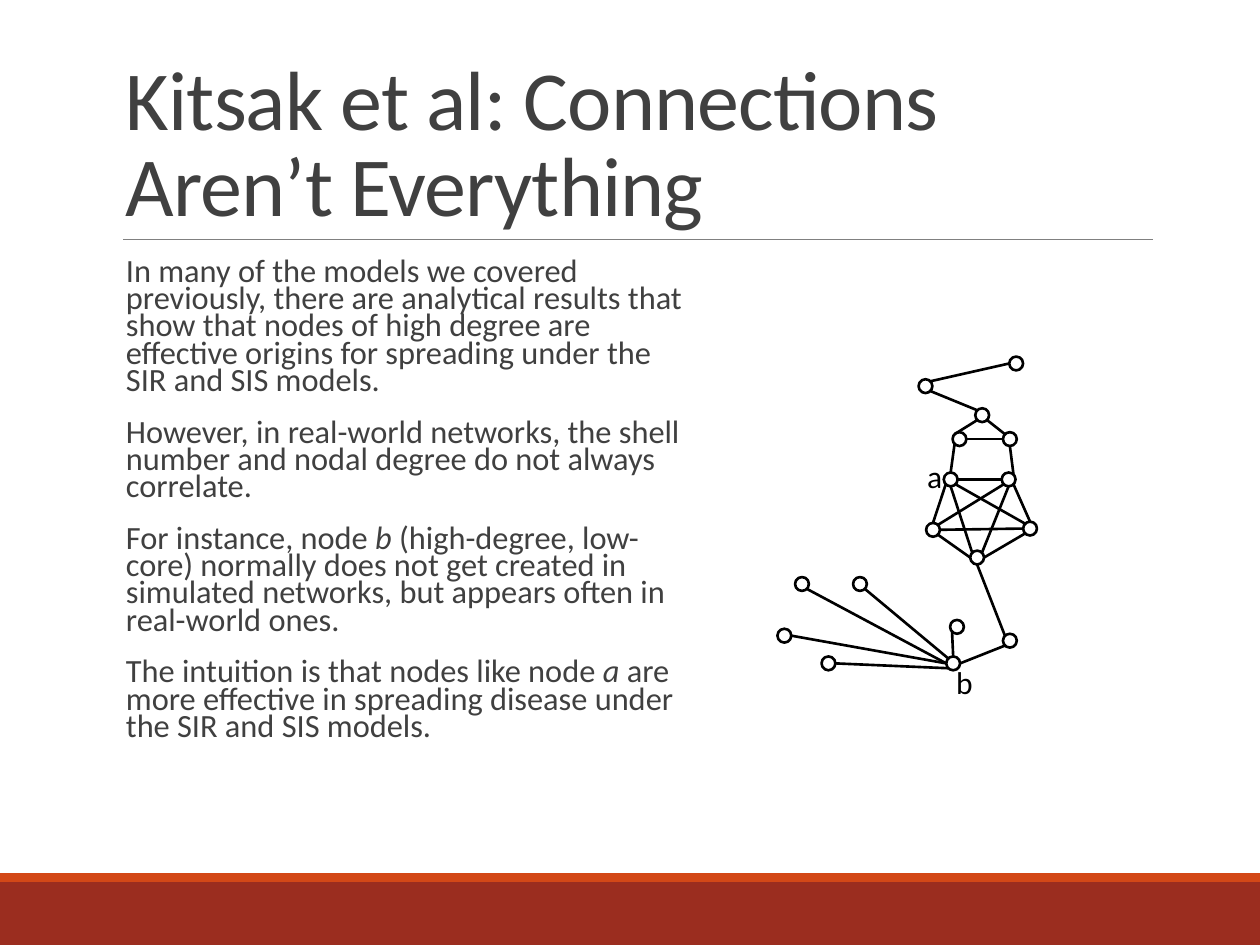
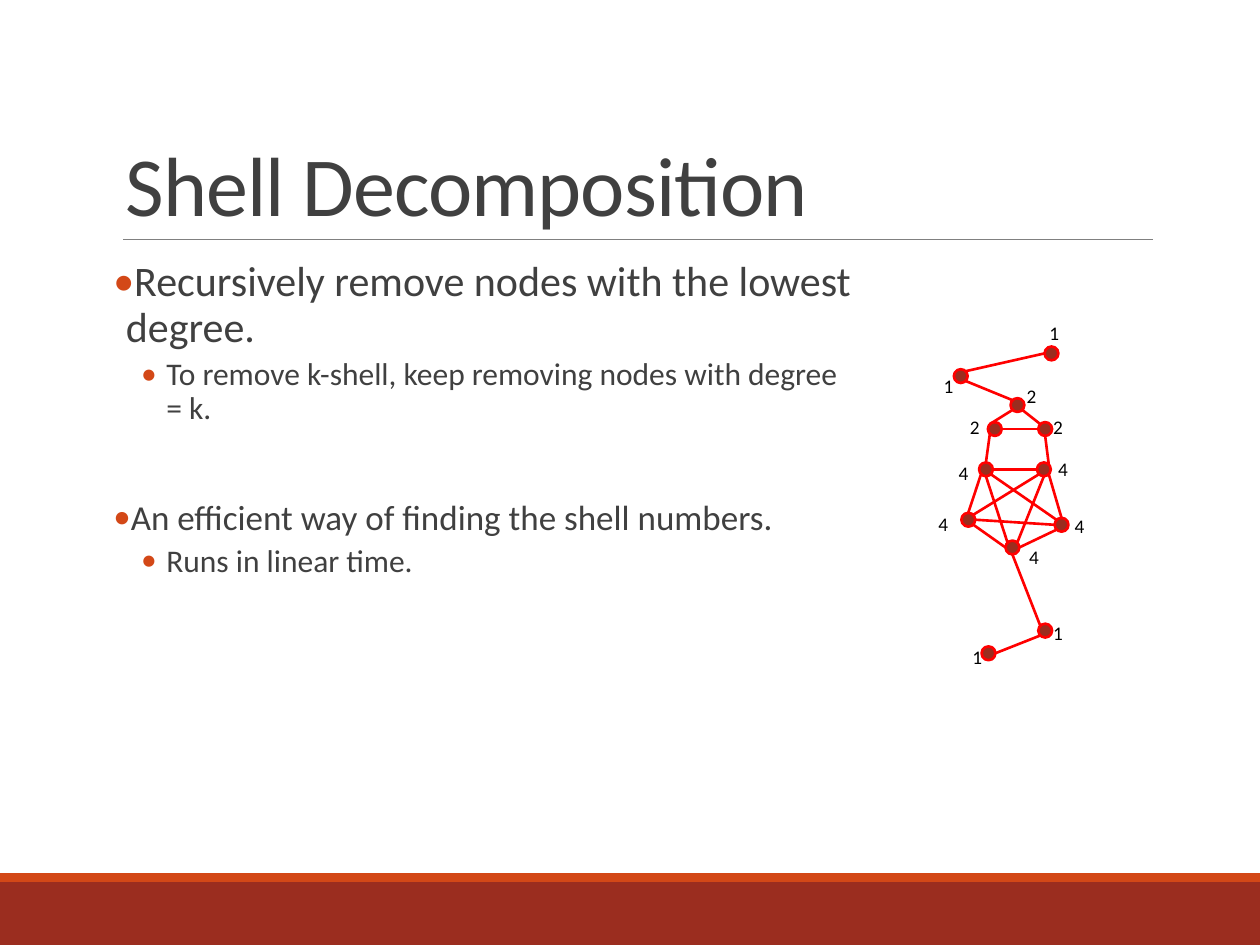
from dataclasses import dataclass
from math import cos, pi, sin

from lxml import etree
from pptx import Presentation
from pptx.dml.color import RGBColor
from pptx.enum.shapes import MSO_CONNECTOR, MSO_SHAPE
from pptx.enum.text import MSO_ANCHOR
from pptx.oxml.ns import qn
from pptx.util import Inches, Pt

RECT, OVAL = MSO_SHAPE.RECTANGLE, MSO_SHAPE.OVAL
STRAIGHT = MSO_CONNECTOR.STRAIGHT
BOTTOM, TOP = MSO_ANCHOR.BOTTOM, MSO_ANCHOR.TOP


@dataclass(frozen=True)
class Theme:
    font: str = "Calibri"
    ink: str = "404040"
    black: str = "000000"
    white: str = "FFFFFF"
    red: str = "FF0000"
    brick: str = "9B2D1F"
    orange: str = "D34817"
    gray: str = "808080"
    title: float = 48
    lead: float = 24
    point: float = 20
    sub: float = 18
    prose: float = 18.5
    mark: float = 18
    shell: float = 11


THEME = Theme()
NODE = 0.11  # node diameter

# Left and top of each node
CORE = {
    "tip": (8.01, 2.83), "bend": (7.29, 3.01), "top": (7.74, 3.24),
    "left": (7.56, 3.43), "right": (7.96, 3.43),
    "a": (7.49, 3.75), "c": (7.95, 3.75), "d": (7.35, 4.15),
    "e": (8.12, 4.14), "f": (7.7, 4.37),
    "knee": (7.96, 5.03), "b": (7.51, 5.21),
}
LEAVES = {"v": (6.17, 4.99), "w": (6.31, 4.58), "x": (6.77, 4.58),
          "y": (6.52, 5.21), "z": (7.54, 4.92)}

# Each end is a node and the side where the edge meets it
CORE_EDGES = """
    tip:W bend:NE, bend:SE top:NW, top:SW left:NW, top:SE right:NW,
    left:E right:W, left:SW a:N, right:S c:NE, a:E c:W,
    a:S f:NW, c:S f:NE, a:SW d:N, d:SE f:W, e:SW f:E, c:SE e:N,
    c:SW d:NE, a:SE e:NW, d:E e:W, f:S knee:NW, knee:SW b:E"""
LEAF_EDGES = "b:SW y:E, x:SE b:NW, w:SE b:W, v:E b:W, z:SW b:N"
SIDES = ["E", "SE", "S", "SW", "W", "NW", "N", "NE"]

PROSE = [
    "In many of the models we covered previously, there are analytical "
    "results that show that nodes of high degree are effective origins for "
    "spreading under the SIR and SIS models.",
    "However, in real-world networks, the shell number and nodal degree do "
    "not always correlate.",
    "For instance, node *b* (high-degree, low-core) normally does not get "
    "created in simulated networks, but appears often in real-world ones.",
    "The intuition is that nodes like node *a *are more effective in "
    "spreading disease under the SIR and SIS models.",
]
SHELLS = {
    "1": [(8.23, 2.5), (7.39, 2.92), (8.26, 4.88), (7.62, 5.07)],
    "2": [(8.05, 3), (8.26, 3.25), (7.6, 3.25)],
    "4": [(7.51, 3.61), (8.3, 3.58), (7.35, 4.02), (8.43, 4.03),
          (8.07, 4.28)],
}


def rgb(code):
    return RGBColor.from_string(code)


def rim(spot, side):
    """Point on a node's rim at a compass side."""
    turn = SIDES.index(side) * pi / 4
    half = NODE / 2
    return (spot[0] + half + half * cos(turn),
            spot[1] + half + half * sin(turn))


class Deck:
    def __init__(self, theme):
        self.theme = theme
        self.prs = Presentation()
        self.prs.slide_width, self.prs.slide_height = Inches(10), Inches(7.5)
        self.slide = None

    def start(self, title):
        """Add a slide with its bands, rule and title."""
        t = self.theme
        self.slide = self.prs.slides.add_slide(self.prs.slide_layouts[6])
        self.shape(RECT, 0, 7, 10, 0.5, t.brick)
        self.shape(RECT, 0, 6.93, 10, 0.07, t.orange)
        self.line((0.98, 1.9), (9.15, 1.9), t.gray, 0.5)
        frame = self.box(0.9, 0.31, 8.25, 1.59, BOTTOM)
        para = self.para(frame, title, t.title, t.ink, space=0.85)
        for props in para._p.iter(qn("a:defRPr")):
            props.set("spc", "-50")

    def shape(self, kind, x, y, w, h, fill, edge=None, alpha=None):
        item = self.slide.shapes.add_shape(
            kind, Inches(x), Inches(y), Inches(w), Inches(h))
        item.shadow.inherit = False
        item.fill.solid()
        item.fill.fore_color.rgb = rgb(fill)
        if alpha:
            tint = item._element.spPr.find(qn("a:solidFill"))[0]
            etree.SubElement(tint, qn("a:alpha"), val=str(alpha * 1000))
        if edge:
            item.line.color.rgb = rgb(edge)
            item.line.width = Pt(1.5)
        else:
            item.line.fill.background()

    def line(self, start, end, color, width=1.5):
        ends = [Inches(v) for v in (*start, *end)]
        item = self.slide.shapes.add_connector(STRAIGHT, *ends)
        item.line.color.rgb = rgb(color)
        item.line.width = Pt(width)
        etree.SubElement(item._element.spPr, qn("a:effectLst"))

    def box(self, x, y, w, h, anchor=TOP, side=0.1):
        item = self.slide.shapes.add_textbox(
            Inches(x), Inches(y), Inches(w), Inches(h))
        frame = item.text_frame
        frame.word_wrap = True
        frame.vertical_anchor = anchor
        frame.margin_left = frame.margin_right = Inches(side)
        return frame

    def para(self, frame, text, size, color, space=1.0, before=0, after=0,
             left=0, hang=0, bullet=False):
        """Add a paragraph; words between asterisks are italic."""
        first = not frame.paragraphs[0].runs
        para = frame.paragraphs[0] if first else frame.add_paragraph()
        para.line_spacing = space
        para.space_before = Pt(0 if first else before)
        para.space_after = Pt(after)
        props = para._p.get_or_add_pPr()
        props.set("marL", str(Inches(left)))
        props.set("indent", str(-Inches(hang)))
        if bullet:
            tint = etree.SubElement(props, qn("a:buClr"))
            etree.SubElement(tint, qn("a:srgbClr"), val=self.theme.orange)
            etree.SubElement(props, qn("a:buFont"), typeface=self.theme.font)
            etree.SubElement(props, qn("a:buChar"), char="•")
        font = para.font
        font.name, font.size = self.theme.font, Pt(size)
        font.color.rgb = rgb(color)
        for i, part in enumerate(text.split("*")):
            run = para.add_run()
            run.text = part
            if i % 2:
                run.font.italic = True
        return para

    def label(self, text, x, y, w, h, size):
        self.para(self.box(x, y, w, h), text, size, self.theme.black)

    def graph(self, nodes, edges, fill, edge, alpha=None):
        for pair in edges.split(","):
            ends = [end.split(":") for end in pair.split()]
            start, stop = [rim(nodes[name], side) for name, side in ends]
            self.line(start, stop, edge)
        for x, y in nodes.values():
            self.shape(OVAL, x, y, NODE, NODE, fill, edge, alpha)


def degree(deck):
    t = deck.theme
    deck.start("Kitsak et al: Connections Aren’t Everything")
    frame = deck.box(0.9, 2.02, 4.6, 4.4, side=0)
    for text in PROSE:
        deck.para(frame, text, t.prose, t.ink, 0.7, 12, 2, left=0.1)
    deck.graph(CORE | LEAVES, CORE_EDGES + "," + LEAF_EDGES,
               t.white, t.black, alpha=23)
    deck.label("a", 7.26, 3.58, 0.25, 0.4, t.mark)
    deck.label("b", 7.49, 5.21, 0.25, 0.4, t.mark)


def shells(deck):
    t = deck.theme
    deck.start("Shell Decomposition")
    nodes = {name: (x + 0.28, y - 0.08) for name, (x, y) in CORE.items()}
    nodes["e"] = (8.37, 4.11)
    deck.graph(nodes, CORE_EDGES, t.brick, t.red)
    frame = deck.box(0.9, 2.02, 5.86, 4.4, side=0)
    main = dict(after=2, left=0.1, hang=0.1)
    sub = dict(before=2, after=4, left=0.42, hang=0.2)
    for text, size, look in [
        ("Recursively remove nodes with the lowest degree.", t.lead, main),
        ("To remove k-shell, keep removing nodes with degree = k.",
         t.sub, sub),
        ("An efficient way of finding the shell numbers.", t.point,
         main | {"before": 38}),
        ("Runs in linear time.", t.sub, sub),
    ]:
        deck.para(frame, text, size, t.ink, 0.9, bullet=True, **look)
    for shell, spots in SHELLS.items():
        for x, y in spots:
            deck.label(shell, x, y, 0.24, 0.29, t.shell)


def main():
    deck = Deck(THEME)
    degree(deck)
    shells(deck)
    deck.prs.save("out.pptx")


if __name__ == "__main__":
    main()
